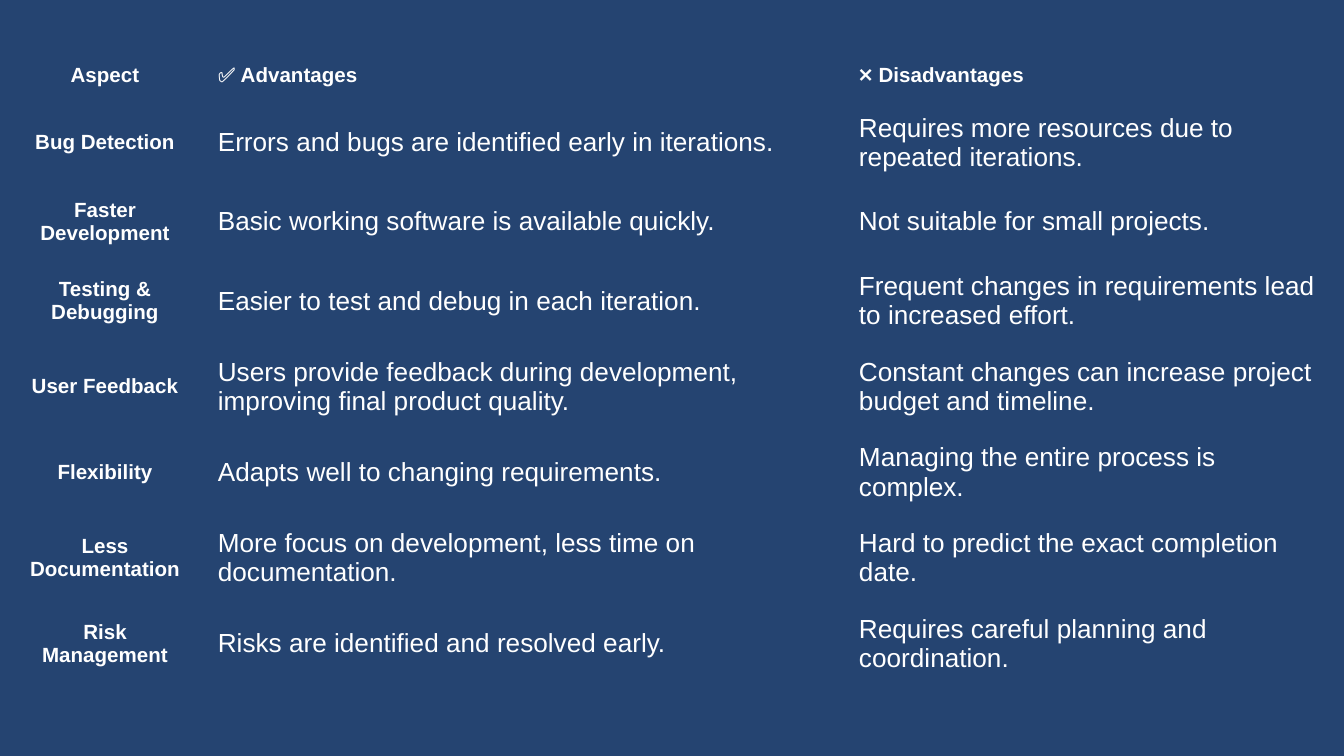
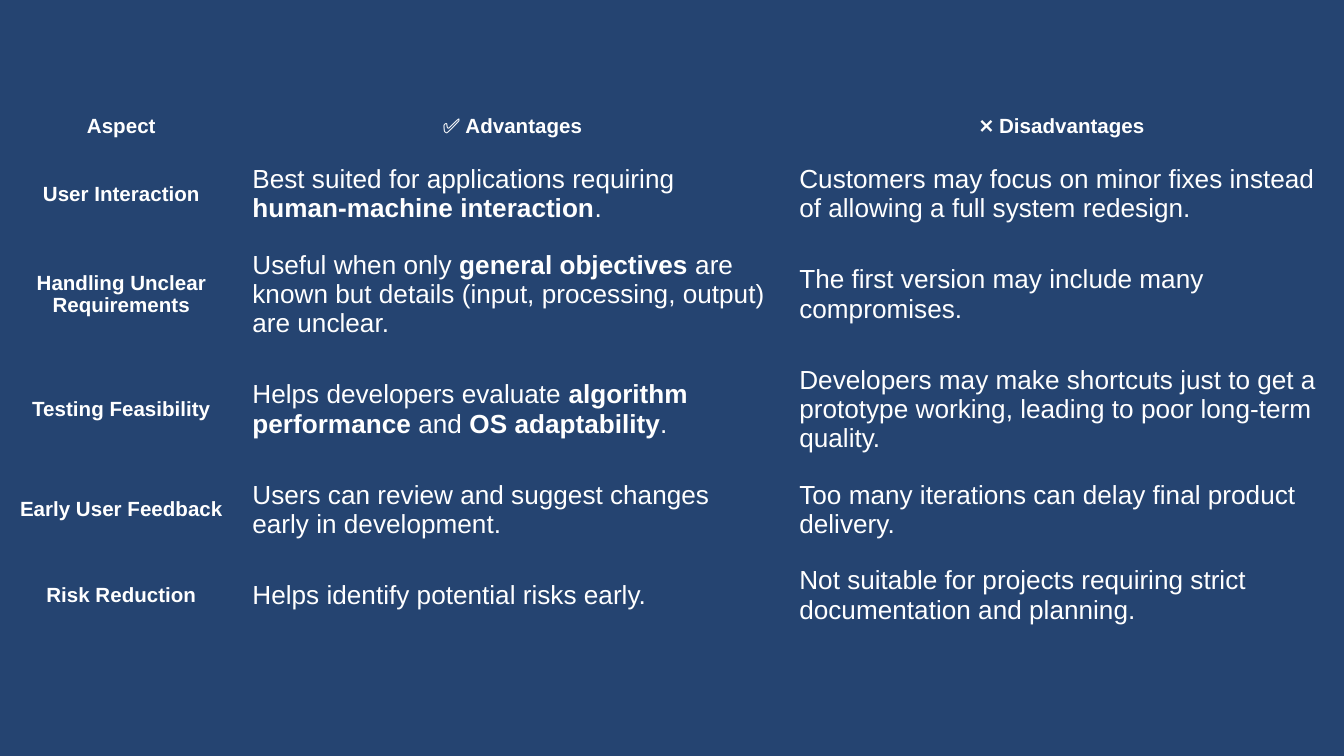
from dataclasses import dataclass

from pptx import Presentation
from pptx.dml.color import RGBColor
from pptx.enum.text import MSO_ANCHOR, PP_ALIGN
from pptx.presentation import Presentation as Deck
from pptx.table import _Cell
from pptx.util import Pt

MIDDLE = MSO_ANCHOR.MIDDLE
CENTER, LEFT = PP_ALIGN.CENTER, PP_ALIGN.LEFT

BACKGROUND = "254471"
TEXT_COLOR = "FFFFFF"
FONT = "Arial"
LABEL_SIZE, BODY_SIZE = 11, 14
HEADER_SPACING = 1.15
CELL_MARGIN = 7.2
TABLE_HEIGHT = 236
HEADER_HEIGHT, ONE_LINE, TWO_LINES = 18, 15, 29.5
PLAIN_TABLE_STYLE = "{2D5ABB26-0587-4C30-8999-92F81FD0307C}"
BOLD_MARK = "**"
HEADER = ("Aspect", "✅ Advantages", "❌ Disadvantages")


@dataclass(frozen=True)
class AspectRow:
    height: float
    aspect: str
    advantage: str
    disadvantage: str


@dataclass(frozen=True)
class ComparisonTable:
    left: float
    top: float
    column_widths: tuple[float, float, float]
    header_alignment: PP_ALIGN
    rows: tuple[AspectRow, ...]


ITERATIVE_MODEL = ComparisonTable(
    3, 25, (106.5, 343.5, 265), LEFT,
    (
        AspectRow(ONE_LINE, "Bug Detection",
                  "Errors and bugs are identified early in iterations.",
                  "Requires more resources due to repeated iterations."),
        AspectRow(ONE_LINE, "Faster Development",
                  "Basic working software is available quickly.",
                  "Not suitable for small projects."),
        AspectRow(TWO_LINES, "Testing & Debugging",
                  "Easier to test and debug in each iteration.",
                  "Frequent changes in requirements lead to increased effort."),
        AspectRow(TWO_LINES, "User Feedback",
                  "Users provide feedback during development, improving final product quality.",
                  "Constant changes can increase project budget and timeline."),
        AspectRow(ONE_LINE, "Flexibility",
                  "Adapts well to changing requirements.",
                  "Managing the entire process is complex."),
        AspectRow(ONE_LINE, "Less Documentation",
                  "More focus on development, less time on documentation.",
                  "Hard to predict the exact completion date."),
        AspectRow(ONE_LINE, "Risk Management",
                  "Risks are identified and resolved early.",
                  "Requires careful planning and coordination."),
    ),
)

PROTOTYPE_MODEL = ComparisonTable(
    2, 52.5, (126, 293, 296), CENTER,
    (
        AspectRow(TWO_LINES, "User Interaction",
                  "Best suited for applications requiring **human-machine interaction**.",
                  "Customers may focus on minor fixes instead of allowing a full system redesign."),
        AspectRow(TWO_LINES, "Handling Unclear Requirements",
                  "Useful when only **general objectives** are known but details "
                  "(input, processing, output) are unclear.",
                  "The first version may include many compromises."),
        AspectRow(TWO_LINES, "Testing Feasibility",
                  "Helps developers evaluate **algorithm performance** and **OS adaptability**.",
                  "Developers may make shortcuts just to get a prototype working, "
                  "leading to poor long-term quality."),
        AspectRow(ONE_LINE, "Early User Feedback",
                  "Users can review and suggest changes early in development.",
                  "Too many iterations can delay final product delivery."),
        AspectRow(TWO_LINES, "Risk Reduction",
                  "Helps identify potential risks early.",
                  "Not suitable for projects requiring strict documentation and planning."),
    ),
)


def color(value: str) -> RGBColor:
    return RGBColor.from_string(value)


def fill_cell(cell: _Cell, text: str, size: float, bold: bool,
              alignment: PP_ALIGN, line_spacing: float = 1.0) -> None:
    """Write text into the cell; parts between bold marks become bold runs."""
    cell.fill.background()
    cell.vertical_anchor = MIDDLE
    cell.margin_left = cell.margin_right = Pt(CELL_MARGIN)
    cell.margin_top = cell.margin_bottom = Pt(CELL_MARGIN)
    paragraph = cell.text_frame.paragraphs[0]
    paragraph.alignment = alignment
    paragraph.line_spacing = line_spacing
    paragraph.font.name = FONT
    paragraph.font.size = Pt(size)
    paragraph.font.bold = bold
    paragraph.font.color.rgb = color(TEXT_COLOR)
    for index, part in enumerate(text.split(BOLD_MARK)):
        run = paragraph.add_run()
        run.text = part
        if index % 2:
            run.font.bold = True


def add_comparison_slide(presentation: Deck, comparison: ComparisonTable) -> None:
    slide = presentation.slides.add_slide(presentation.slide_layouts[6])
    slide.background.fill.solid()
    slide.background.fill.fore_color.rgb = color(BACKGROUND)

    shape = slide.shapes.add_table(
        len(comparison.rows) + 1, len(HEADER), Pt(comparison.left), Pt(comparison.top),
        Pt(sum(comparison.column_widths)), Pt(TABLE_HEIGHT))
    table = shape.table
    table.first_row = table.horz_banding = False
    for style in shape.element.xpath(".//a:tableStyleId"):
        style.text = PLAIN_TABLE_STYLE
    for column, width in zip(table.columns, comparison.column_widths):
        column.width = Pt(width)

    table.rows[0].height = Pt(HEADER_HEIGHT)
    for index, title in enumerate(HEADER):
        alignment = comparison.header_alignment if index else CENTER
        fill_cell(table.cell(0, index), title, LABEL_SIZE, True, alignment, HEADER_SPACING)
    for number, row in enumerate(comparison.rows, start=1):
        table.rows[number].height = Pt(row.height)
        fill_cell(table.cell(number, 0), row.aspect, LABEL_SIZE, True, CENTER)
        for index, text in enumerate((row.advantage, row.disadvantage), start=1):
            fill_cell(table.cell(number, index), text, BODY_SIZE, False, LEFT)
    shape.height = Pt(TABLE_HEIGHT)


def main() -> None:
    presentation = Presentation()
    presentation.slide_width = Pt(720)
    presentation.slide_height = Pt(405)
    for comparison in (ITERATIVE_MODEL, PROTOTYPE_MODEL):
        add_comparison_slide(presentation, comparison)
    presentation.save("out.pptx")


if __name__ == "__main__":
    main()
